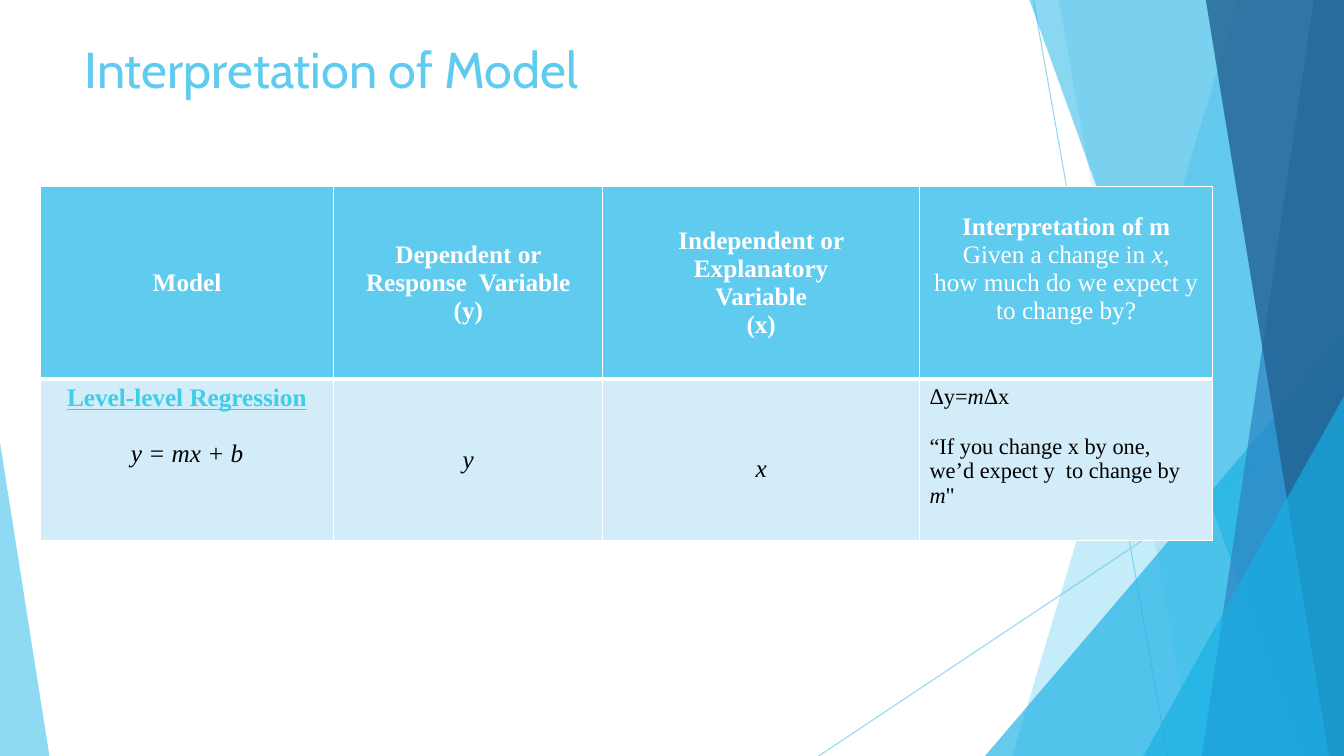
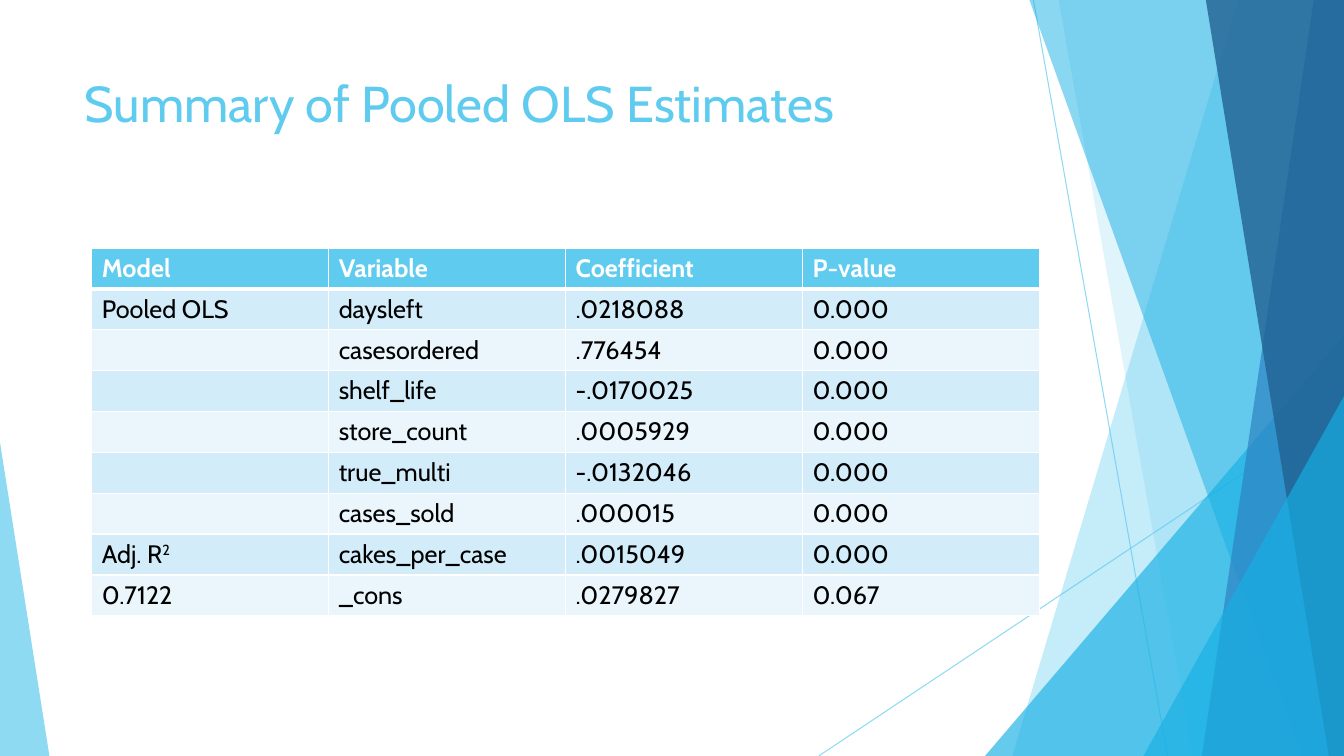
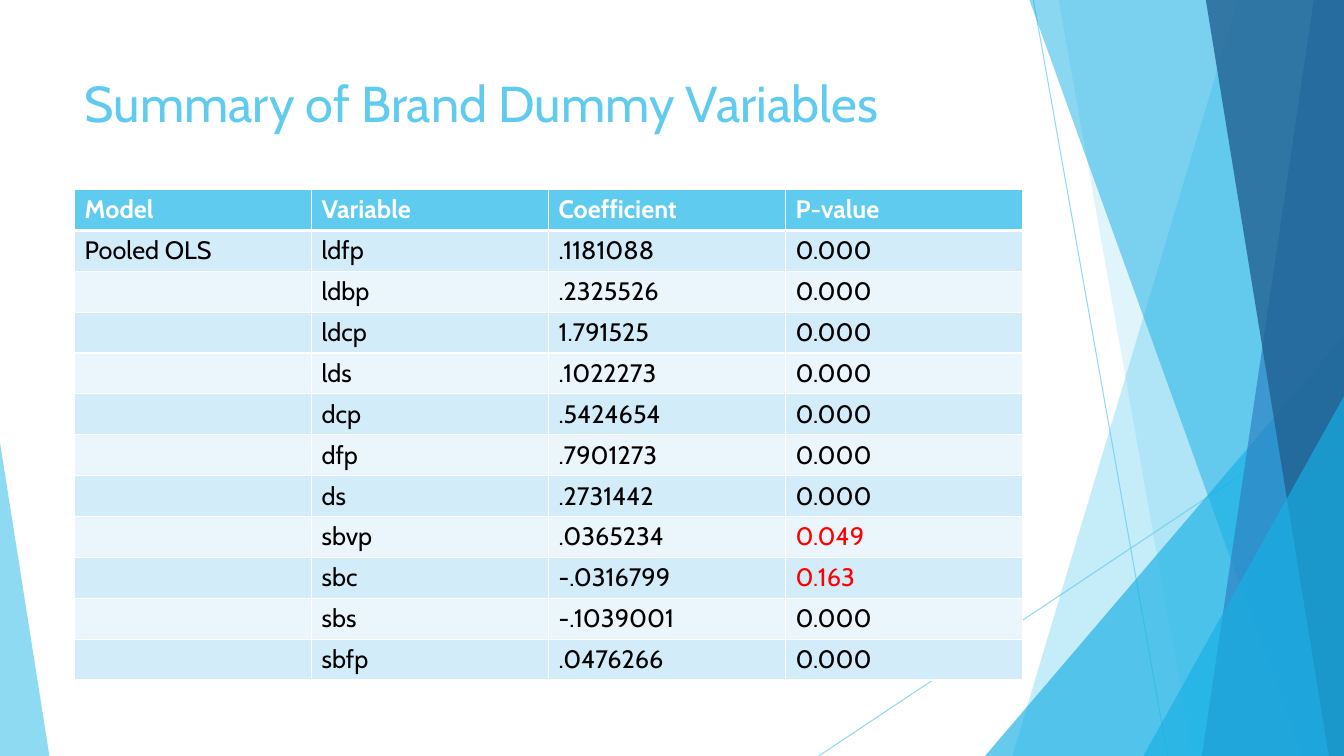
from lxml.etree import SubElement
from pptx import Presentation
from pptx.dml.color import RGBColor
from pptx.enum.shapes import MSO_CONNECTOR, MSO_SHAPE
from pptx.enum.text import MSO_ANCHOR, MSO_AUTO_SIZE, PP_ALIGN
from pptx.oxml.ns import qn
from pptx.util import Inches, Pt

COLORS = {
    "sky": "5FCBEF", "cyan": "17B0E4", "blue": "2E83C3", "navy": "226292",
    "link": "3FCDE7", "band": "D2ECF9", "pale": "EAF6FC",
    "white": "FFFFFF", "black": "000000", "red": "FF0000",
}
WIDTH, HEIGHT = 13.33, 7.5

# Backdrop, back to front; opacity in percent.
RAYS = [((10.25, 0), (11.58, HEIGHT)), ((WIDTH, 4.03), (8.12, HEIGHT))]
BACKDROP = [
    # blade: x at the top, x at the bottom; it reaches to the right edge
    ("blade", (12.28, 10.04), "sky", 36),
    ("blade", (10.5, 11.83), "sky", 20),
    # triangle: left, top, width, apex; it stands on the bottom edge
    ("triangle", (9.77, 3.33, 3.56, 1), "cyan", 66),
    ("blade", (10.21, 12.91), "cyan", 50),
    ("blade", (13.03, 11.92), "blue", 70),
    ("blade", (11.96, 13.18), "navy", 80),
    ("triangle", (11.34, 3.93, 1.99, 1), "cyan", 66),
    ("triangle", (0, 4.39, 0.49, 0), "sky", 70),
]

# A cell is a string or a list of paragraphs; a paragraph is a list of runs;
# a run is a string or a pair of string and format.
ITALIC, PLAIN = {"italic": True}, {"bold": False}
MODEL_ROWS = [
    ["Model",
     [["Dependent or Response  Variable"], ["(y)"]],
     [["Independent or Explanatory"], ["Variable"], ["(x)"]],
     [["Interpretation of m"],
      [("Given a change in ", PLAIN), ("x,", {"bold": False, "italic": True})],
      [("how much do we expect y to change by?", PLAIN)]]],
    [[[("Level-level Regression", {"bold": True, "underline": True, "color": "link"})],
      [("y = mx + b", ITALIC)]],
     [[("y", ITALIC)]],
     [[("x", ITALIC)]],
     [["Δy=", ("m", ITALIC), "Δx"],
      ["“If you change x by one,"],
      ["we’d expect y  to change by ", ("m", ITALIC), "\""]]],
]
CENTERED = {"align": PP_ALIGN.CENTER, "anchor": MSO_ANCHOR.MIDDLE}
MODEL_OPTIONS = {
    (0, 3): {"margin_bottom": 0.33},
    (1, 0): {"anchor": MSO_ANCHOR.TOP, "gap": 20},
    (1, 2): {"margin_top": 0.24},
    (1, 3): {"anchor": MSO_ANCHOR.TOP, "align": PP_ALIGN.LEFT, "gap": 18, "size": 16},
}

ESTIMATE_HEADER = ["Model", "Variable", "Coefficient", "P-value"]
POOLED_ROWS = [
    ESTIMATE_HEADER,
    ["Pooled OLS", "daysleft", ".0218088", "0.000"],
    ["", "casesordered", ".776454", "0.000"],
    ["", "shelf_life", "-.0170025", "0.000"],
    ["", "store_count", ".0005929", "0.000"],
    ["", "true_multi", "-.0132046", "0.000"],
    ["", "cases_sold", ".000015", "0.000"],
    [[["Adj. R", ("2", {"superscript": True})]], "cakes_per_case", ".0015049", "0.000"],
    ["0.7122", "_cons", ".0279827", "0.067"],
]
RED = {"color": "red"}
BRAND_ROWS = [
    ESTIMATE_HEADER,
    ["Pooled OLS", "ldfp", ".1181088", "0.000"],
    ["", "ldbp", ".2325526", "0.000"],
    ["", "ldcp", "1.791525", "0.000"],
    ["", "lds", ".1022273", "0.000"],
    ["", "dcp", ".5424654", "0.000"],
    ["", "dfp", ".7901273", "0.000"],
    ["", "ds", ".2731442", "0.000"],
    ["", "sbvp", ".0365234", [[("0.049", RED)]]],
    ["", "sbc", "-.0316799", [[("0.163", RED)]]],
    ["", "sbs", "-.1039001", "0.000"],
    ["", "sbfp", ".0476266", "0.000"],
]

ESTIMATE_WIDTHS = [2.35] * 4
SLIDES = [
    {"title": "Interpretation of Model", "title_box": (0.74, 0.33, 8.87, 1.78),
     "rows": MODEL_ROWS, "corner": (0.4, 1.85), "widths": [2.91, 2.67, 3.14, 2.91],
     "heights": [1.91, 1.6], "font": "Times New Roman",
     "shared": CENTERED, "options": MODEL_OPTIONS},
    {"title": "Summary of Pooled OLS Estimates", "title_box": (0.74, 0.67, 9.4, 1.44),
     "rows": POOLED_ROWS, "corner": (0.91, 2.46), "widths": ESTIMATE_WIDTHS,
     "heights": [3.65 / len(POOLED_ROWS)] * len(POOLED_ROWS)},
    {"title": "Summary of Brand Dummy Variables", "title_box": (0.74, 0.67, 9.4, 1.44),
     "rows": BRAND_ROWS, "corner": (0.74, 1.88), "widths": ESTIMATE_WIDTHS,
     "heights": [4.87 / len(BRAND_ROWS)] * len(BRAND_ROWS)},
]


def rgb(name):
    return RGBColor.from_string(COLORS[name])


def write(paragraph, text, font="Cabin", size=18, color="black", bold=False,
          italic=False, underline=False, superscript=False):
    run = paragraph.add_run()
    run.text = text
    run.font.name, run.font.size = font, Pt(size)
    run.font.bold, run.font.italic, run.font.underline = bold, italic, underline
    run.font.color.rgb = rgb(color)
    if superscript:
        run._r.get_or_add_rPr().set("baseline", "30000")


def set_opacity(shape, percent):
    color = next(shape.element.iter(qn("a:srgbClr")))
    SubElement(color, qn("a:alpha"), val=str(percent * 1000))


def add_ray(shapes, start, end):
    ray = shapes.add_connector(MSO_CONNECTOR.STRAIGHT, *map(Inches, start + end))
    ray.line.color.rgb = rgb("sky")
    ray.line.width = Pt(0.75)
    set_opacity(ray, 70)
    SubElement(ray.element.spPr, qn("a:effectLst"))
    return ray


def add_facet(shapes, kind, geometry, color, opacity):
    if kind == "blade":
        top, bottom = geometry
        corners = [(WIDTH, 0), (WIDTH, HEIGHT), (bottom, HEIGHT)]
        builder = shapes.build_freeform(Inches(top), 0)
        builder.add_line_segments([(Inches(x), Inches(y)) for x, y in corners])
        facet = builder.convert_to_shape()
    else:
        left, top, width, apex = geometry
        box = map(Inches, (left, top, width, HEIGHT - top))
        facet = shapes.add_shape(MSO_SHAPE.ISOSCELES_TRIANGLE, *box)
        facet.adjustments[0] = apex
    facet.fill.solid()
    facet.fill.fore_color.rgb = rgb(color)
    set_opacity(facet, opacity)
    facet.line.fill.background()
    facet.shadow.inherit = False
    return facet


def move_backdrop_to_layout(slide, layout):
    """Draw the backdrop on a slide, then hand it to the layout all slides share."""
    for placeholder in list(layout.placeholders)[1:]:
        placeholder.element.getparent().remove(placeholder.element)
    parts = [add_ray(slide.shapes, *ray) for ray in RAYS]
    parts += [add_facet(slide.shapes, *facet) for facet in BACKDROP]
    for position, part in enumerate(parts, start=2):
        layout.shapes.element.insert(position, part.element)


def set_title(slide, text, box):
    title = slide.shapes.title
    title.left, title.top, title.width, title.height = map(Inches, box)
    frame = title.text_frame
    frame.word_wrap, frame.auto_size = True, MSO_AUTO_SIZE.NONE
    frame.vertical_anchor = MSO_ANCHOR.TOP
    frame.paragraphs[0].alignment = PP_ALIGN.LEFT
    write(frame.paragraphs[0], text, size=36, color="sky")


def set_borders(cell, **widths):
    properties = cell._tc.get_or_add_tcPr()
    for side in ("L", "R", "T", "B"):
        line = SubElement(properties, qn(f"a:ln{side}"), w=str(Pt(widths.get(side, 1))))
        fill = SubElement(line, qn("a:solidFill"))
        SubElement(fill, qn("a:srgbClr"), val=COLORS["white"])


def fill_cell(cell, content, row, font, align=PP_ALIGN.LEFT, anchor=MSO_ANCHOR.TOP,
              gap=0, size=18, margin_top=0.05, margin_bottom=0.05):
    """Style one cell; gap is the space in points before its second paragraph."""
    header = row == 0
    set_borders(cell, **({"B": 3} if header else {"T": 3} if row == 1 else {}))
    cell.fill.solid()
    cell.fill.fore_color.rgb = rgb("sky" if header else "band" if row % 2 else "pale")
    cell.vertical_anchor = anchor
    cell.margin_top, cell.margin_bottom = Inches(margin_top), Inches(margin_bottom)
    base = {"font": font, "size": size, "bold": header,
            "color": "white" if header else "black"}
    paragraphs = [[content]] if isinstance(content, str) else content
    for index, runs in enumerate(paragraphs):
        frame = cell.text_frame
        paragraph = frame.add_paragraph() if index else frame.paragraphs[0]
        paragraph.alignment = align
        if index == 1 and gap:
            paragraph.space_before = Pt(gap)
        for run in runs:
            text, changes = (run, {}) if isinstance(run, str) else run
            if text:
                write(paragraph, text, **{**base, **changes})


def add_grid(slide, rows, corner, widths, heights, font="Cabin", shared={}, options={}):
    box = map(Inches, (*corner, sum(widths), sum(heights)))
    table = slide.shapes.add_table(len(rows), len(widths), *box).table
    for column, width in zip(table.columns, widths):
        column.width = Inches(width)
    for table_row, height in zip(table.rows, heights):
        table_row.height = Inches(height)
    for row, contents in enumerate(rows):
        for column, content in enumerate(contents):
            fill_cell(table.cell(row, column), content, row, font,
                      **{**shared, **options.get((row, column), {})})


def main():
    presentation = Presentation()
    presentation.slide_width, presentation.slide_height = Inches(WIDTH), Inches(HEIGHT)
    layout = presentation.slide_layouts.get_by_name("Title Only")
    for index, content in enumerate(SLIDES):
        slide = presentation.slides.add_slide(layout)
        if index == 0:
            move_backdrop_to_layout(slide, layout)
        set_title(slide, content["title"], content["title_box"])
        add_grid(slide, **{key: value for key, value in content.items()
                           if not key.startswith("title")})
    presentation.save("out.pptx")


if __name__ == "__main__":
    main()
